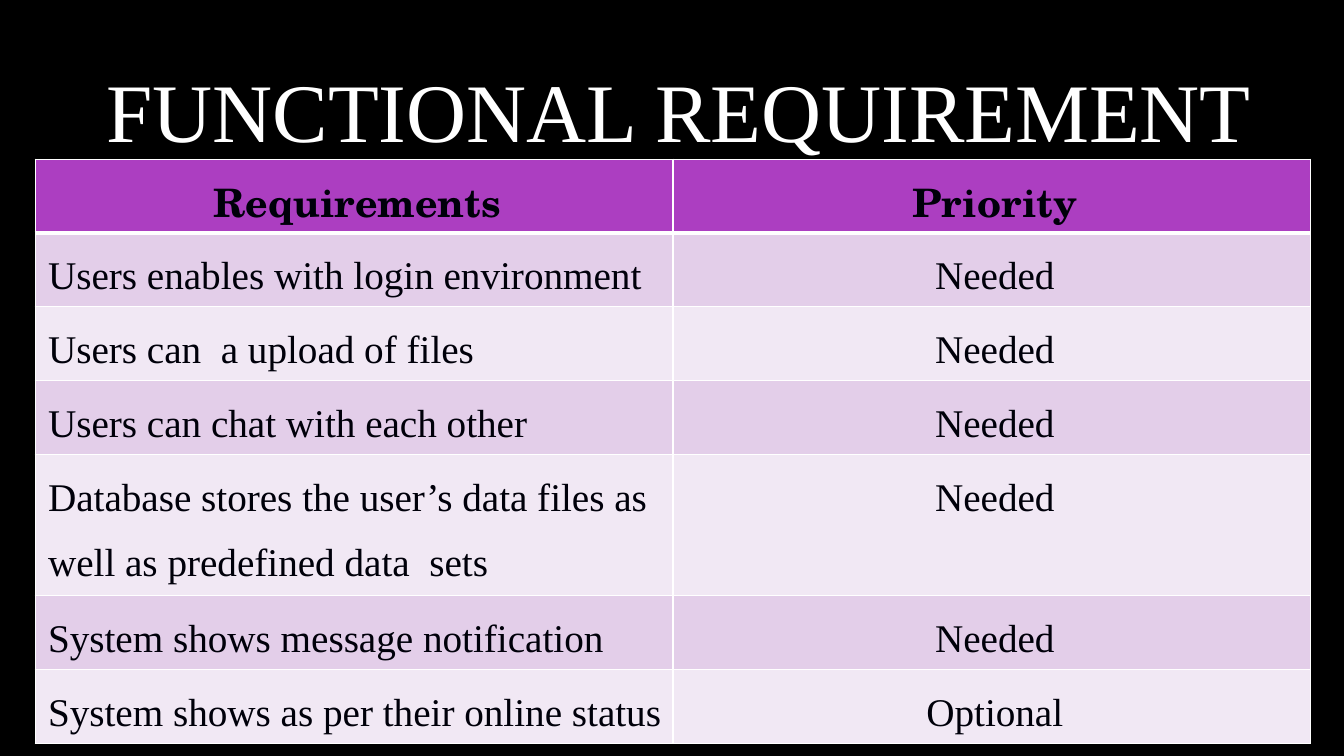
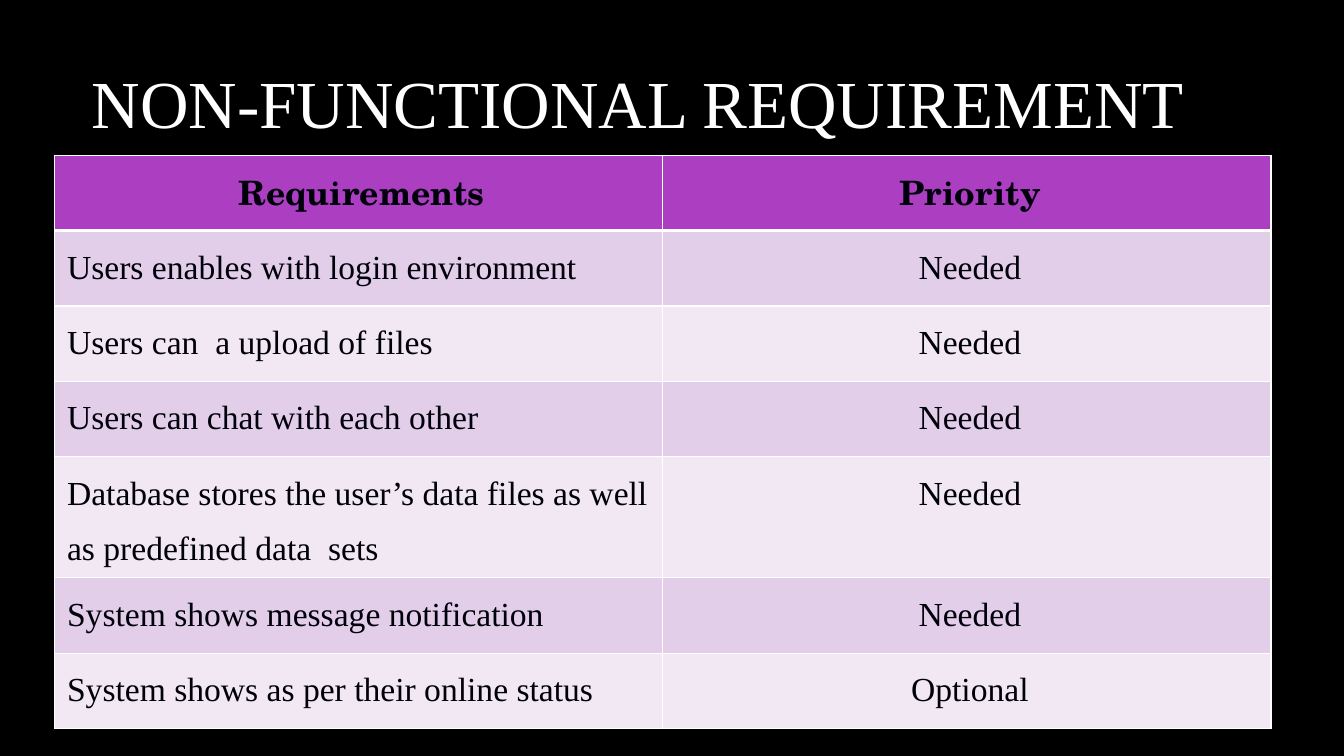
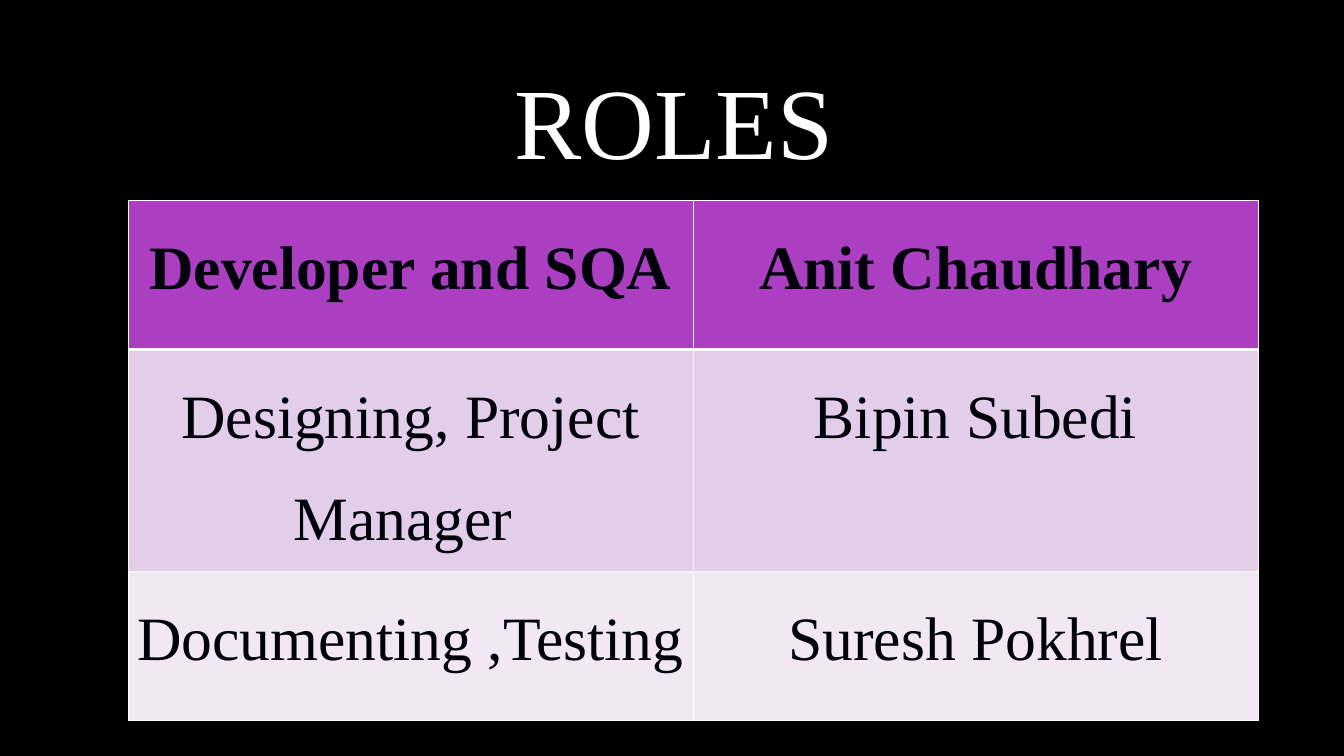
from lxml.etree import SubElement
from pptx import Presentation
from pptx.dml.color import RGBColor
from pptx.enum.text import MSO_ANCHOR, PP_ALIGN
from pptx.oxml.ns import qn
from pptx.util import Cm, Pt

BLACK = RGBColor(0x00, 0x00, 0x00)
WHITE = RGBColor(0xFF, 0xFF, 0xFF)
INK = RGBColor(0x00, 0x00, 0x0A)
PURPLE = RGBColor(0xAC, 0x3E, 0xC1)
LILAC = RGBColor(0xE3, 0xCE, 0xE9)
PALE_LILAC = RGBColor(0xF1, 0xE8, 0xF4)

SERIF = "Times New Roman"
SCHOOLBOOK = "TeX Gyre Schola"
CELL_MARGINS = {
    "margin_left": Cm(0.17),
    "margin_right": Cm(0.17),
    "margin_top": 0,
    "margin_bottom": 0,
}

REQUIREMENTS = [
    ("Requirements", "Priority"),
    ("Users enables with login environment", "Needed"),
    ("Users can  a upload of files", "Needed"),
    ("Users can chat with each other", "Needed"),
    ("Database stores the user’s data files as well as predefined data  sets", "Needed"),
    ("System shows message notification", "Needed"),
    ("System shows as per their online status", "Optional"),
]
ROLES = [
    ("Developer and SQA", "Anit Chaudhary"),
    ("Designing, Project Manager ", "Bipin Subedi"),
    ("Documenting ,Testing ", "Suresh Pokhrel"),
]
REQUIREMENT_STYLE = {
    "header_font": SCHOOLBOOK,
    "header_spacing": 1.2,
    "first_column": PP_ALIGN.LEFT,
    "indent": Cm(0.15),
}
ROLE_STYLE = {
    "header_font": SERIF,
    "header_spacing": 1.5,
    "first_column": PP_ALIGN.CENTER,
    "indent": 0,
}

# Boxes are left, top, width, height; grids are left, top, column width, row height (cm)
SLIDES = [
    {
        "title": "FUNCTIONAL REQUIREMENT",
        "title_box": (1.19, 0.74, 31.83, 4.04),
        "title_size": 59.4,
        "title_align": PP_ALIGN.CENTER,
        "rows": REQUIREMENTS,
        "grid": (0.89, 4.01, 16.07, 1.86),
        "text_size": 28,
        "style": REQUIREMENT_STYLE,
    },
    {
        "title": "NON-FUNCTIONAL REQUIREMENT",
        "title_box": (2.06, 0.53, 28.14, 4.04),
        "title_size": 48,
        "title_align": PP_ALIGN.LEFT,
        "rows": REQUIREMENTS,
        "grid": (1.37, 3.91, 15.33, 1.9),
        "text_size": 24,
        "style": REQUIREMENT_STYLE,
    },
    {
        "title": "ROLES",
        "title_box": (10.16, 0.61, 13.64, 4.8),
        "title_size": 72,
        "title_align": PP_ALIGN.CENTER,
        "rows": ROLES,
        "grid": (3.23, 5.05, 14.24, 3.76),
        "text_size": 44,
        "style": ROLE_STYLE,
    },
]


def write(paragraph, text, color, paragraph_format, font_format):
    run = paragraph.add_run()
    run.text = text
    run.font.color.rgb = color
    for target, values in ((paragraph, paragraph_format), (run.font, font_format)):
        for attribute, value in values.items():
            setattr(target, attribute, value)


def add_borders(cell, widths):
    """Draw white cell borders; must run before the cell gets its fill."""
    properties = cell._tc.get_or_add_tcPr()
    for side, width in widths.items():
        line = SubElement(properties, qn(f"a:ln{side}"), w=str(Pt(width)))
        fill = SubElement(line, qn("a:solidFill"))
        SubElement(fill, qn("a:srgbClr"), val=str(WHITE))


prs = Presentation()
prs.slide_width = Cm(33.87)
prs.slide_height = Cm(19.05)
backdrop = prs.slide_master.background.fill
backdrop.solid()
backdrop.fore_color.rgb = BLACK

for content in SLIDES:
    slide = prs.slides.add_slide(prs.slide_layouts[6])
    style = content["style"]
    left, top, column_width, row_height = map(Cm, content["grid"])

    title = slide.shapes.add_textbox(*map(Cm, content["title_box"])).text_frame
    title.word_wrap = True
    title.vertical_anchor = MSO_ANCHOR.MIDDLE
    write(
        title.paragraphs[0], content["title"], WHITE,
        {"alignment": content["title_align"]},
        {"name": SERIF, "size": Pt(content["title_size"])},
    )

    rows = content["rows"]
    table = slide.shapes.add_table(
        len(rows), 2, left, top, 2 * column_width, len(rows) * row_height
    ).table
    for column in table.columns:
        column.width = column_width

    for r, row in enumerate(rows):
        table.rows[r].height = row_height
        header = r == 0
        row_fill = PURPLE if header else (PALE_LILAC, LILAC)[r % 2]
        for c, text in enumerate(row):
            cell = table.cell(r, c)
            for attribute, value in CELL_MARGINS.items():
                setattr(cell, attribute, value)
            add_borders(cell, {"L": 1, "R": 1, "T": 3 if r == 1 else 1, "B": 3 if header else 1})
            cell.fill.solid()
            cell.fill.fore_color.rgb = row_fill

            paragraph = cell.text_frame.paragraphs[0]
            centred = header or c == 1
            write(
                paragraph, text, INK,
                {
                    "alignment": PP_ALIGN.CENTER if centred else style["first_column"],
                    "line_spacing": style["header_spacing"] if header else 1.5,
                    "space_after": Pt(7),
                },
                {
                    "name": style["header_font"] if header else SERIF,
                    "size": Pt(content["text_size"]),
                    "bold": header,
                },
            )
            paragraph._p.get_or_add_pPr().set("marL", str(style["indent"]))

prs.save("out.pptx")
